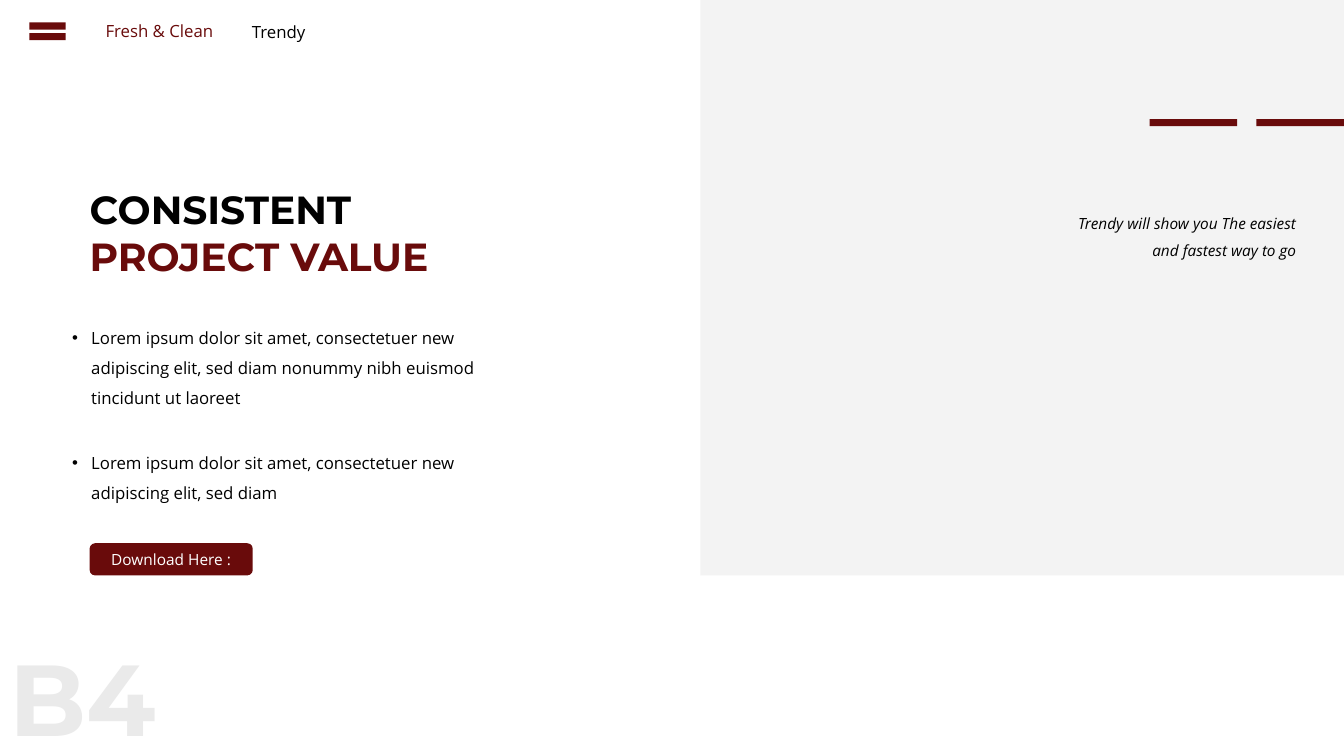
from lxml.etree import SubElement
from pptx import Presentation
from pptx.dml.color import RGBColor
from pptx.enum.shapes import MSO_SHAPE
from pptx.enum.text import MSO_ANCHOR, PP_ALIGN
from pptx.oxml.ns import qn
from pptx.util import Cm, Pt

MAROON = RGBColor(0x69, 0x0B, 0x0B)
BLACK = RGBColor(0x00, 0x00, 0x00)
WHITE = RGBColor(0xFF, 0xFF, 0xFF)
PANEL_GRAY = RGBColor(0xF2, 0xF2, 0xF2)
LABEL_GRAY = RGBColor(0xEA, 0xEA, 0xEA)


class SlideBuilder:
    heading_font = "Montserrat"
    body_font = "Open Sans"

    def __init__(self, slide):
        self.slide = slide

    def shape(self, kind, left, top, width, height, color, opacity=100):
        shape = self.slide.shapes.add_shape(
            kind, Cm(left), Cm(top), Cm(width), Cm(height))
        shape.shadow.inherit = False
        shape.fill.solid()
        shape.fill.fore_color.rgb = color
        shape.line.fill.background()
        if opacity < 100:
            color_element = shape.fill._xPr.find(".//" + qn("a:srgbClr"))
            SubElement(color_element, qn("a:alpha"), val=str(opacity * 1000))
        return shape

    def style(self, paragraph, size, color, font=body_font, align=PP_ALIGN.LEFT):
        paragraph.alignment = align
        paragraph.font.name = font
        paragraph.font.size = Pt(size)
        paragraph.font.color.rgb = color

    def text(self, text, left, top, width, height, size, color=BLACK,
             font=body_font, align=PP_ALIGN.LEFT, wrap=True):
        """Add a text box and return its paragraph."""
        box = self.slide.shapes.add_textbox(
            Cm(left), Cm(top), Cm(width), Cm(height))
        box.text_frame.word_wrap = wrap
        paragraph = box.text_frame.paragraphs[0]
        paragraph.text = text
        self.style(paragraph, size, color, font, align)
        return paragraph

    def heading(self, text, left, top, width, height, size, color):
        paragraph = self.text(text, left, top, width, height, size, color,
                              self.heading_font)
        paragraph.font.bold = True
        return paragraph

    def bullet(self, text, top, height):
        paragraph = self.text(text, 1.57, top, 10.95, height, 12)
        paragraph.line_spacing = 1.5
        properties = paragraph._p.get_or_add_pPr()
        indent = Cm(0.48)
        properties.set("marL", str(indent))
        properties.set("indent", str(-indent))
        SubElement(properties, qn("a:buFont"), typeface="Arial")
        SubElement(properties, qn("a:buChar"), char="•")
        # The schema wants the default run properties after the bullet
        properties.append(properties.find(qn("a:defRPr")))

    def button(self, text, left, top, width, height):
        shape = self.shape(MSO_SHAPE.ROUNDED_RECTANGLE,
                           left, top, width, height, MAROON)
        shape.text_frame.vertical_anchor = MSO_ANCHOR.MIDDLE
        paragraph = shape.text_frame.paragraphs[0]
        paragraph.text = text
        self.style(paragraph, 11, WHITE, align=PP_ALIGN.CENTER)


def main():
    presentation = Presentation()
    presentation.slide_width = Cm(33.87)
    presentation.slide_height = Cm(19.05)
    slide = presentation.slides.add_slide(presentation.slide_layouts[6])
    builder = SlideBuilder(slide)

    builder.shape(MSO_SHAPE.RECTANGLE, 17.65, 0, 16.22, 14.5, PANEL_GRAY, 90)
    builder.heading("B4", 0, 15.9, 4.4, 3.1, 72, LABEL_GRAY)
    for left in (28.97, 31.66):
        builder.shape(MSO_SHAPE.RECTANGLE, left, 3, 2.21, 0.18, MAROON)
    quote = builder.text("Trendy will show you The easiest and fastest way to go",
                         26.44, 5.03, 6.48, 1.6, 11, align=PP_ALIGN.RIGHT)
    quote.line_spacing = 1.5
    quote.font.italic = True

    builder.shape(MSO_SHAPE.MATH_EQUAL, 0.58, 0.41, 1.24, 0.76, MAROON)
    builder.text("Fresh & Clean", 2.41, 0.41, 3.28, 0.76, 12, MAROON, wrap=False)
    builder.text("Trendy", 6.07, 0.43, 1.91, 0.76, 12,
                 align=PP_ALIGN.CENTER, wrap=False)

    title = builder.heading("CONSISTENT ", 2.01, 4.55, 9.47, 2.64, 28, BLACK)
    accent = title.add_run()
    accent.text = "PROJECT VALUE"
    accent.font.color.rgb = MAROON

    builder.bullet("Lorem ipsum dolor sit amet, consectetuer new adipiscing elit, "
                   "sed diam nonummy nibh euismod tincidunt ut laoreet", 7.87, 2.49)
    builder.bullet("Lorem ipsum dolor sit amet, consectetuer new adipiscing elit, "
                   "sed diam", 11.02, 1.7)
    builder.button("Download Here :", 2.26, 13.69, 4.11, 0.81)

    presentation.save("out.pptx")


if __name__ == "__main__":
    main()
